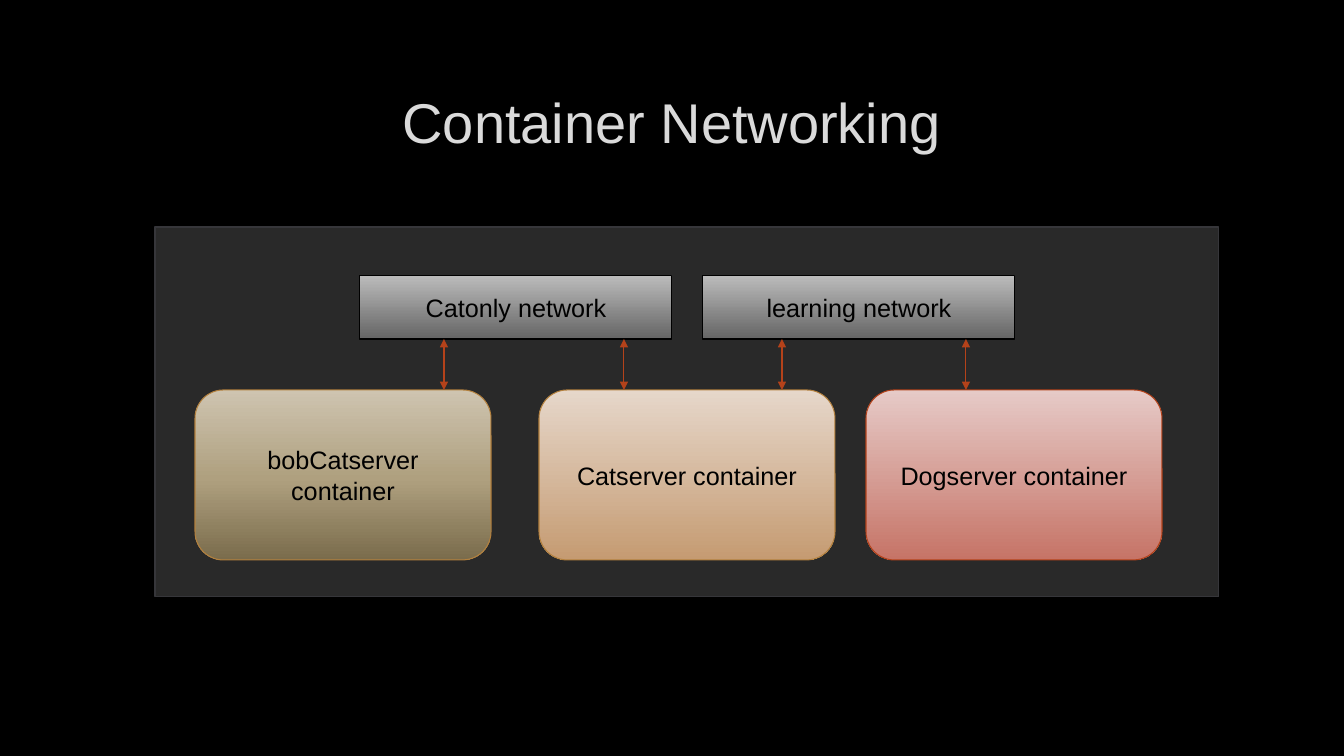
from typing import NamedTuple

from lxml.etree import SubElement
from pptx import Presentation
from pptx.dml.color import RGBColor
from pptx.enum.shapes import MSO_CONNECTOR, MSO_SHAPE
from pptx.enum.text import MSO_ANCHOR, PP_ALIGN
from pptx.oxml.ns import qn
from pptx.util import Emu, Pt

SLIDE_W, SLIDE_H = 1344, 756
EMU_PER_PX = 12192000 / SLIDE_W
LINE_PT = 0.75
NETWORK_TOP, NETWORK_W, NETWORK_H = 275, 312, 64
CONTAINER_TOP, CONTAINER_W, CONTAINER_H = 390, 296, 170
LINK_COLOR = "B4421A"
LINK_XS = (444, 624, 782, 966)


class Rect(NamedTuple):
    left: int
    top: int
    width: int
    height: int


class Box(NamedTuple):
    label: str
    kind: MSO_SHAPE
    rect: Rect
    stops: dict[int, str]
    line: str


def network(label: str, left: int) -> Box:
    rect = Rect(left, NETWORK_TOP, NETWORK_W, NETWORK_H)
    return Box(label, MSO_SHAPE.RECTANGLE, rect, {0: "BCBCBC", 100: "656565"}, "000000")


def container(label: str, left: int, stops: dict[int, str], line: str) -> Box:
    rect = Rect(left, CONTAINER_TOP, CONTAINER_W, CONTAINER_H)
    return Box(label, MSO_SHAPE.ROUNDED_RECTANGLE, rect, stops, line)


PANEL = Rect(155, 227, 1064, 370)
TITLE = Rect(101, 68, 1141, 107)
BOXES = (
    container("Catserver container", 539, {0: "E6D7CA", 100: "C59B72"}, "B3803D"),
    container("Dogserver container", 866, {0: "E6CAC7", 100: "C67467"}, "B4421A"),
    network("learning network", 703),
    network("Catonly network", 360),
    container("bobCatserver container", 195,
              {0: "CEC4B0", 52: "AFA07F", 100: "7A6C4C"}, "B3803D"),
)


def px(n: int) -> Emu:
    return Emu(round(n * EMU_PER_PX))


def rgb(color: str) -> RGBColor:
    return RGBColor.from_string(color)


def set_alpha(fill, percent: int) -> None:
    """Make a solidFill element translucent, with its opacity in percent."""
    SubElement(fill[0], qn("a:alpha"), val=str(percent * 1000))


def set_line(sp, color: str) -> None:
    sp.line.color.rgb = rgb(color)
    sp.line.width = Pt(LINE_PT)


def set_gradient(sp, stops: dict[int, str]) -> None:
    """Fill from top to bottom, with stops keyed by percent."""
    sp.fill.gradient()
    sp.fill.gradient_angle = 270
    stop_list = sp._element.spPr.find(qn("a:gradFill")).find(qn("a:gsLst"))
    for stop in list(stop_list):
        stop_list.remove(stop)
    for percent, color in stops.items():
        stop = SubElement(stop_list, qn("a:gs"), pos=str(percent * 1000))
        SubElement(stop, qn("a:srgbClr"), val=color)


def write_text(sp, text: str, size: int, color: str):
    tf = sp.text_frame
    tf.word_wrap = True
    tf.vertical_anchor = MSO_ANCHOR.MIDDLE
    p = tf.paragraphs[0]
    p.alignment = PP_ALIGN.CENTER
    r = p.add_run()
    r.text = text
    for name, value in {"name": "Arial", "size": Pt(size)}.items():
        setattr(r.font, name, value)
    r.font.color.rgb = rgb(color)
    return r


def add_shape(slide, kind: MSO_SHAPE, rect: Rect, line: str):
    sp = slide.shapes.add_shape(kind, *map(px, rect))
    sp.shadow.inherit = False
    set_line(sp, line)
    return sp


def add_panel(slide) -> None:
    sp = add_shape(slide, MSO_SHAPE.RECTANGLE, PANEL, "36363A")
    sp.fill.solid()
    sp.fill.fore_color.rgb = rgb("808080")
    set_alpha(sp._element.spPr.find(qn("a:solidFill")), 32)


def add_title(slide) -> None:
    sp = slide.shapes.add_textbox(*map(px, TITLE))
    r = write_text(sp, "Container Networking", 40, "DADADA")
    props = r.font._element
    outline = SubElement(props, qn("a:ln"), w=str(Pt(LINE_PT)))
    props.insert(0, outline)
    fill = SubElement(outline, qn("a:solidFill"))
    SubElement(fill, qn("a:srgbClr"), val="404040")
    set_alpha(fill, 10)


def add_box(slide, box: Box) -> None:
    sp = add_shape(slide, box.kind, box.rect, box.line)
    set_gradient(sp, box.stops)
    write_text(sp, box.label, 18, "000000")


def add_link(slide, x: int) -> None:
    """Draw a two-way arrow from the network row down to the containers."""
    link = slide.shapes.add_connector(
        MSO_CONNECTOR.STRAIGHT,
        px(x), px(NETWORK_TOP + NETWORK_H), px(x), px(CONTAINER_TOP))
    set_line(link, LINK_COLOR)
    props = link._element.spPr
    for end in ("a:headEnd", "a:tailEnd"):
        SubElement(props.find(qn("a:ln")), qn(end), type="triangle")
    SubElement(props, qn("a:effectLst"))


def main() -> None:
    prs = Presentation()
    prs.slide_width, prs.slide_height = px(SLIDE_W), px(SLIDE_H)
    slide = prs.slides.add_slide(prs.slide_layouts[6])
    slide.background.fill.solid()
    slide.background.fill.fore_color.rgb = rgb("000000")
    add_panel(slide)
    add_title(slide)
    for box in BOXES:
        add_box(slide, box)
    for x in LINK_XS:
        add_link(slide, x)
    prs.save("out.pptx")


if __name__ == "__main__":
    main()
